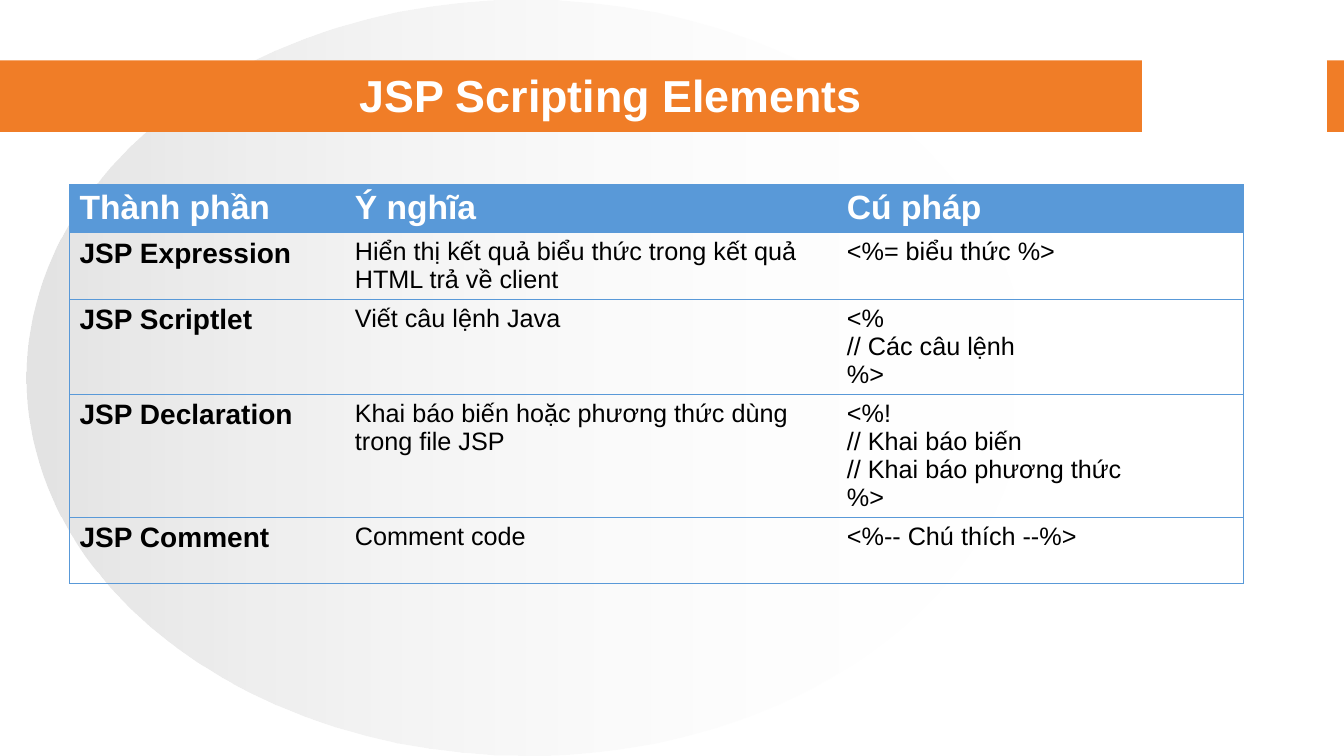
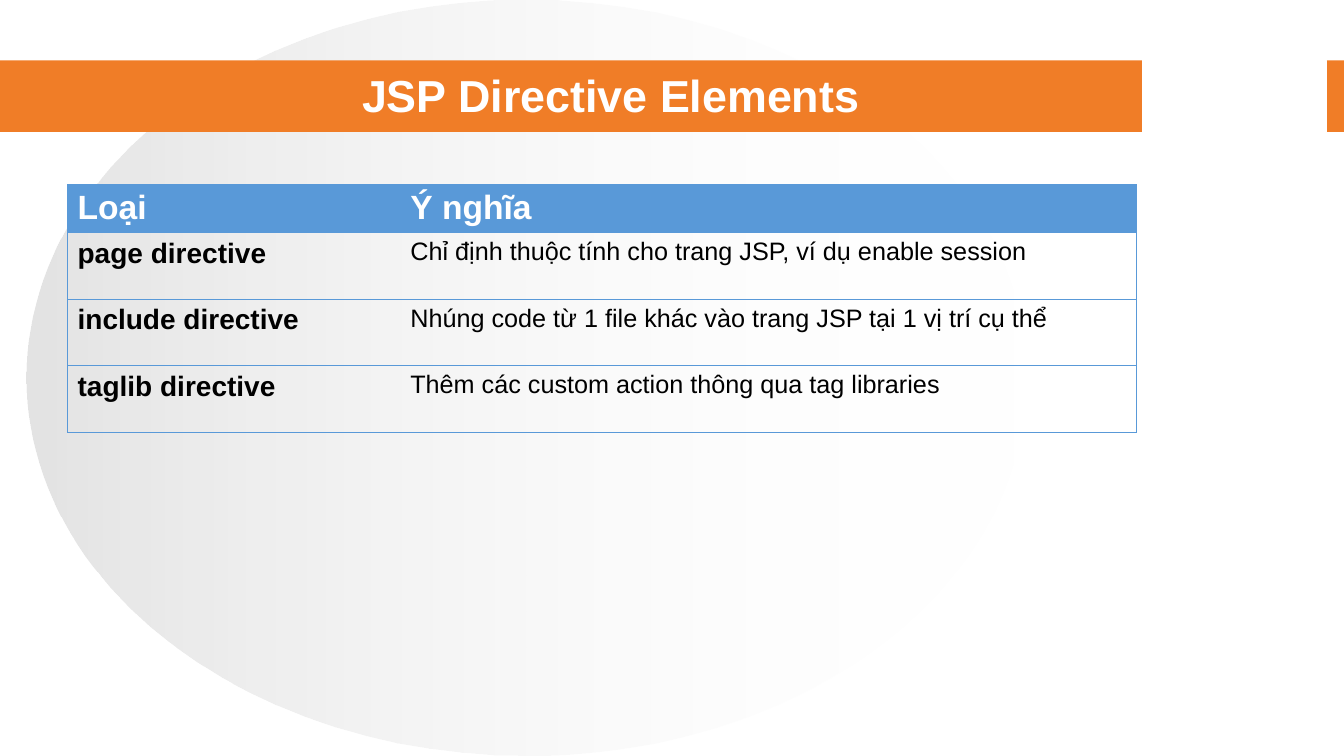
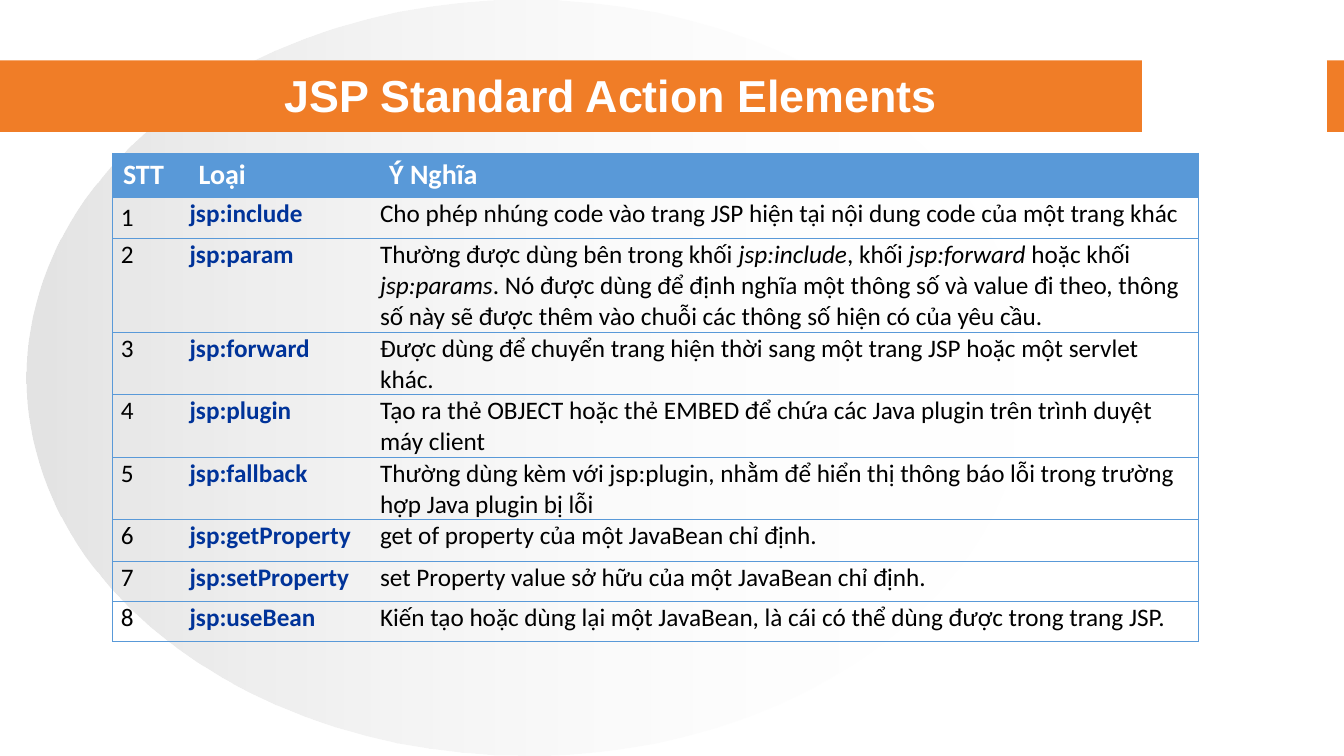
from dataclasses import dataclass

from lxml import etree
from pptx import Presentation
from pptx.dml.color import RGBColor
from pptx.enum.shapes import MSO_SHAPE
from pptx.enum.text import MSO_ANCHOR, MSO_AUTO_SIZE, PP_ALIGN
from pptx.oxml.ns import qn
from pptx.util import Inches, Pt

ELLIPSE, RECTANGLE = MSO_SHAPE.OVAL, MSO_SHAPE.RECTANGLE
CENTER, MIDDLE, NO_FIT = PP_ALIGN.CENTER, MSO_ANCHOR.MIDDLE, MSO_AUTO_SIZE.NONE

WHITE = RGBColor(0xFF, 0xFF, 0xFF)
BLACK = RGBColor(0x00, 0x00, 0x00)
SILVER = RGBColor(0xC0, 0xC0, 0xC0)
ORANGE = RGBColor(0xF0, 0x7D, 0x27)
TABLE_BLUE = RGBColor(0x59, 0x99, 0xD8)
TAG_BLUE = RGBColor(0x00, 0x33, 0x99)

SLIDE_W, SLIDE_H = 13.33, 7.5
BAND_TOP, BAND_H = 0.6, 0.71
TITLE_ONLY = 5
PLAIN_TABLE_STYLE = "{2D5ABB26-0587-4C30-8999-92F81FD0307C}"


@dataclass(frozen=True)
class TextStyle:
    size: float
    color: RGBColor = BLACK
    bold: bool = False
    font: str = "Arial"


@dataclass(frozen=True)
class TableStyle:
    header: TextStyle
    columns: tuple      # one TextStyle per column
    insets: tuple       # left, top, right, bottom per body column


TITLE = TextStyle(32, WHITE, True)
DEFAULT_INSETS = (0.1, 0.05, 0.1, 0.05)
TIGHT_INSETS = (0.01, 0.01, 0.01, 0)

NAME, MEANING = TextStyle(20, bold=True), TextStyle(18)
ELEMENT_TABLE = TableStyle(TextStyle(24, WHITE, True), (NAME, MEANING, MEANING),
                           (DEFAULT_INSETS,) * 3)
ACTION_TEXT = TextStyle(18, font="Calibri")
ACTION_TABLE = TableStyle(
    TextStyle(20, WHITE, True, "Calibri"),
    (ACTION_TEXT, TextStyle(18, TAG_BLUE, True, "Calibri"), ACTION_TEXT),
    ((0.08, 0.01, 0.01, 0), TIGHT_INSETS, TIGHT_INSETS))

# Text between asterisks is italic
SCRIPTING_ROWS = [
    ("Thành phần", "Ý nghĩa", "Cú pháp"),
    ("JSP Expression", "Hiển thị kết quả biểu thức trong kết quả HTML trả về client",
     "<%= biểu thức %>"),
    ("JSP Scriptlet", "Viết câu lệnh Java", "<%\n// Các câu lệnh\n%>"),
    ("JSP Declaration", "Khai báo biến hoặc phương thức dùng trong file JSP",
     "<%!\n// Khai báo biến\n// Khai báo phương thức\n%>"),
    ("JSP Comment", "Comment code", "<%-- Chú thích --%>"),
]
DIRECTIVE_ROWS = [
    ("Loại", "Ý nghĩa"),
    ("page directive", "Chỉ định thuộc tính cho trang JSP, ví dụ enable session"),
    ("include directive", "Nhúng code từ 1 file khác vào trang JSP tại 1 vị trí cụ thể"),
    ("taglib directive", "Thêm các custom action thông qua tag libraries"),
]
ACTIONS = [
    ("jsp:include",
     "Cho phép nhúng code vào trang JSP hiện tại nội dung code của một trang khác"),
    ("jsp:param",
     "Thường được dùng bên trong khối *jsp:include*, khối *jsp:forward* hoặc "
     "khối *jsp:params*. Nó được dùng để định nghĩa một thông số và value đi theo, "
     "thông số này sẽ được thêm vào chuỗi các thông số hiện có của yêu cầu."),
    ("jsp:forward",
     "Được dùng để chuyển trang hiện thời sang một trang JSP hoặc một servlet khác."),
    ("jsp:plugin",
     "Tạo ra thẻ OBJECT hoặc thẻ EMBED để chứa các Java plugin trên trình duyệt "
     "máy client"),
    ("jsp:fallback",
     "Thường dùng kèm với jsp:plugin, nhằm để hiển thị thông báo lỗi trong trường "
     "hợp Java plugin bị lỗi"),
    ("jsp:getProperty", "get of property của một JavaBean chỉ định."),
    ("jsp:setProperty", "set Property value sở hữu của một JavaBean chỉ định."),
    ("jsp:useBean",
     "Kiến tạo hoặc dùng lại một JavaBean, là cái có thể dùng được trong trang JSP."),
]
ACTION_ROWS = [("STT", "Loại", "Ý Nghĩa")] + [
    (str(number), *action) for number, action in enumerate(ACTIONS, 1)]


def place(shape, left, top, width, height):
    shape.left, shape.top = Inches(left), Inches(top)
    shape.width, shape.height = Inches(width), Inches(height)


def style_run(run, style):
    font = run.font
    font.size, font.bold, font.name = Pt(style.size), style.bold, style.font
    font.color.rgb = style.color


def add_backdrop_shape(slide, kind, left, top, width, height, color=None):
    shape = slide.shapes.add_shape(kind, 0, 0, 0, 0)
    place(shape, left, top, width, height)
    shape.shadow.inherit = False
    shape.line.fill.background()
    if color is not None:
        shape.fill.solid()
        shape.fill.fore_color.rgb = color
    return shape


def fade_to_clear(shape):
    """Left-to-right gradient from translucent silver to clear white."""
    shape.fill.gradient()
    shape.fill.gradient_angle = 0
    stops = shape.fill.gradient_stops
    for stop, color, position, opacity in zip(stops, (SILVER, WHITE), (0, 1), (44, 0)):
        stop.color.rgb, stop.position = color, position
    for rgb, opacity in zip(shape.element.spPr.iter(qn("a:srgbClr")), (44, 0)):
        etree.SubElement(rgb, qn("a:alpha"), val=str(opacity * 1000))


def build_layout(prs, slide):
    """Draw the backdrop once and move it to the layout behind the title."""
    layout = slide.slide_layout
    for holder in list(layout.placeholders)[1:]:
        holder.element.getparent().remove(holder.element)
    disc = add_backdrop_shape(slide, ELLIPSE, 0.26, 0, 9.92, SLIDE_H)
    fade_to_clear(disc)
    band = add_backdrop_shape(slide, RECTANGLE, 0, BAND_TOP, SLIDE_W, BAND_H, ORANGE)
    gap = add_backdrop_shape(slide, RECTANGLE, 11.33, BAND_TOP, 1.83, BAND_H, WHITE)
    gap.line.color.rgb, gap.line.width = WHITE, Pt(0.75)
    title = layout.placeholders[0]
    place(title, 1.67, 0.67, 8.78, 0.53)
    for part in (disc, band, gap):
        title.element.addprevious(part.element)


def set_title(slide, text):
    frame = slide.shapes.title.text_frame
    frame.text = text
    frame.auto_size, frame.vertical_anchor = NO_FIT, MIDDLE
    frame.paragraphs[0].alignment = CENTER
    style_run(frame.paragraphs[0].runs[0], TITLE)


def set_borders(cell, sides):
    """Draw the given sides (L, R, T, B, in that order) in the table blue."""
    properties = cell._tc.get_or_add_tcPr()
    for index, side in enumerate(sides):
        line = etree.Element(qn(f"a:ln{side}"), w=str(Pt(0.75)))
        fill = etree.SubElement(line, qn("a:solidFill"))
        etree.SubElement(fill, qn("a:srgbClr"), val=str(TABLE_BLUE))
        properties.insert(index, line)


def fill_cell(cell, text, style, insets):
    cell.margin_left, cell.margin_top, cell.margin_right, cell.margin_bottom = (
        Inches(inset) for inset in insets)
    cell.text_frame.text = text
    for paragraph in cell.text_frame.paragraphs:
        plain, *rest = paragraph.text.split("*")
        paragraph.text = plain
        for index, piece in enumerate(rest):
            run = paragraph.add_run()
            run.text, run.font.italic = piece, index % 2 == 0
        for run in paragraph.runs:
            style_run(run, style)


def add_ruled_table(slide, left, top, widths, heights, rows, style):
    table = slide.shapes.add_table(
        len(rows), len(widths), Inches(left), Inches(top),
        Inches(sum(widths)), Inches(sum(heights))).table
    table._tbl.tblPr.find(qn("a:tableStyleId")).text = PLAIN_TABLE_STYLE
    for column, width in zip(table.columns, widths):
        column.width = Inches(width)
    for row, height in zip(table.rows, heights):
        row.height = Inches(height)
    last = len(widths) - 1
    for r, texts in enumerate(rows):
        for c, text in enumerate(texts):
            cell = table.cell(r, c)
            if r == 0:
                fill_cell(cell, text, style.header, DEFAULT_INSETS)
                cell.fill.solid()
                cell.fill.fore_color.rgb = TABLE_BLUE
            else:
                fill_cell(cell, text, style.columns[c], style.insets[c])
                cell.fill.background()
            set_borders(cell, "L" * (c == 0) + "R" * (c == last) + "TB")
    return table


def main():
    prs = Presentation()
    prs.slide_width, prs.slide_height = Inches(SLIDE_W), Inches(SLIDE_H)
    titles = ("JSP Scripting Elements", "JSP Directive Elements",
              "JSP Standard Action Elements")
    slides = [prs.slides.add_slide(prs.slide_layouts[TITLE_ONLY]) for _ in titles]
    build_layout(prs, slides[0])
    for slide, title in zip(slides, titles):
        set_title(slide, title)
    scripting, directives, actions = slides

    add_ruled_table(scripting, 0.69, 1.83, (2.73, 4.88, 4.03),
                    (0.48, 0.66, 0.94, 1.22, 0.66), SCRIPTING_ROWS, ELEMENT_TABLE)
    add_ruled_table(directives, 0.67, 1.83, (3.3, 7.3),
                    (0.48, 0.66, 0.66, 0.66), DIRECTIVE_ROWS, ELEMENT_TABLE)
    action_table = add_ruled_table(
        actions, 1.12, 1.52, (0.75, 1.89, 8.13),
        (0.44, 0.41, 0.92, 0.62, 0.62, 0.62, 0.41, 0.4, 0.4), ACTION_ROWS, ACTION_TABLE)
    # The first number sits a little lower than the rest
    first_number = action_table.cell(1, 0)
    first_number.margin_top = first_number.margin_bottom = Inches(0.05)

    prs.save("out.pptx")


if __name__ == "__main__":
    main()
